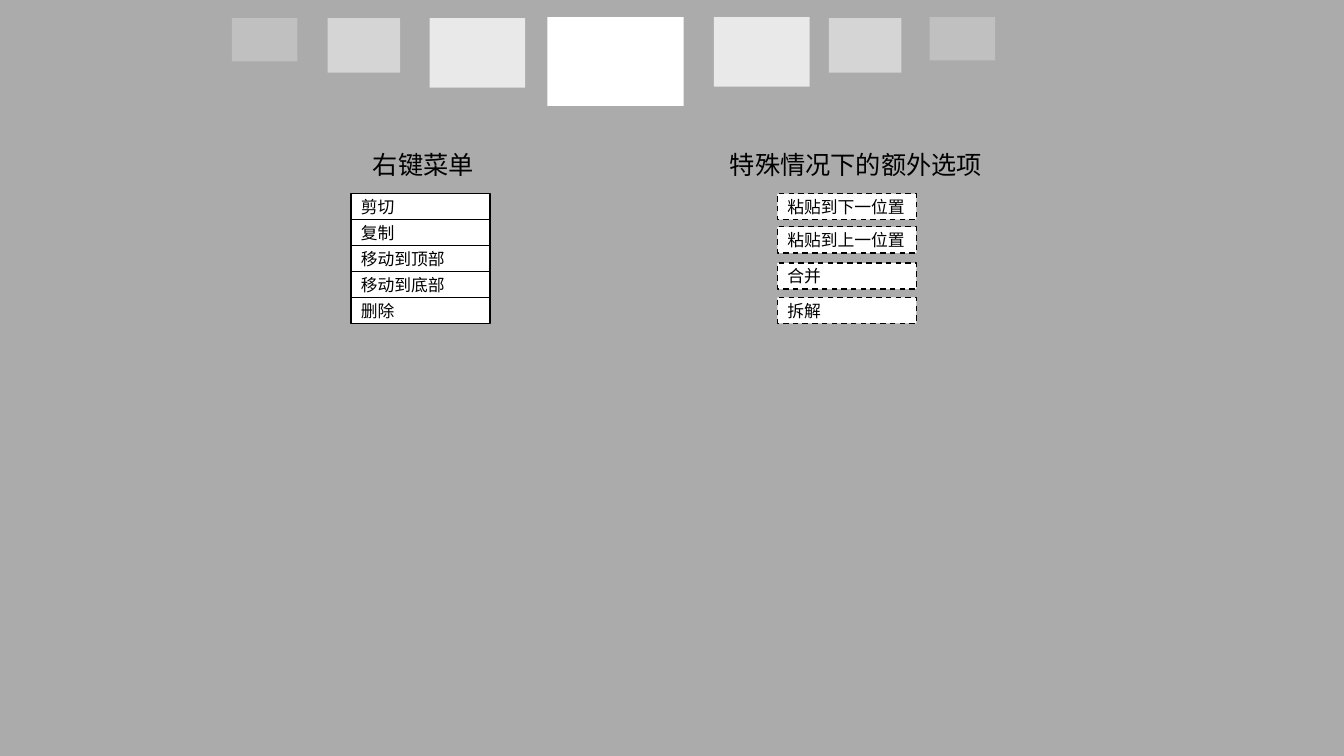
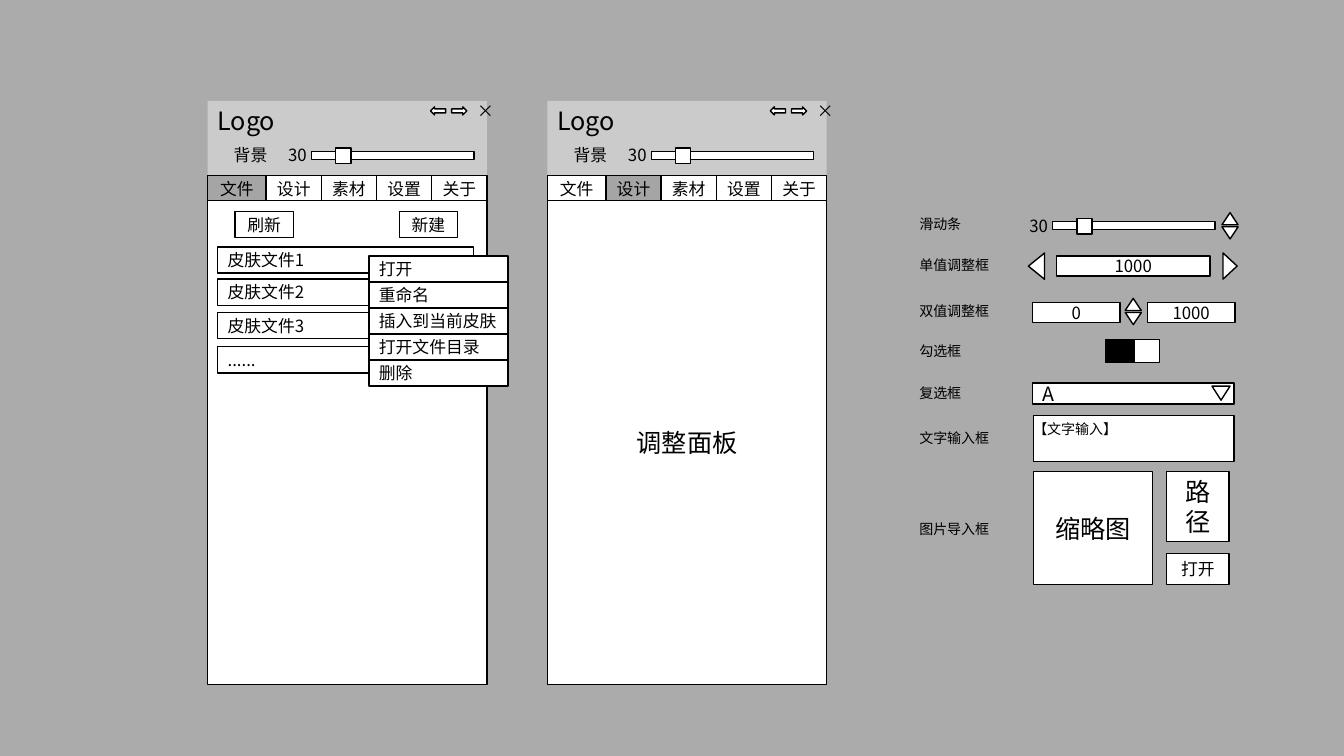
from dataclasses import dataclass

from lxml.etree import SubElement
from pptx import Presentation
from pptx.dml.color import RGBColor
from pptx.enum.dml import MSO_LINE
from pptx.enum.shapes import MSO_SHAPE
from pptx.enum.text import MSO_ANCHOR, PP_ALIGN
from pptx.oxml.ns import qn
from pptx.slide import Slide
from pptx.util import Inches, Pt

BLACK = RGBColor(0x00, 0x00, 0x00)
WHITE = RGBColor(0xFF, 0xFF, 0xFF)
GREY = RGBColor(0xA5, 0xA5, 0xA5)
BACK = RGBColor(0xAB, 0xAB, 0xAB)

CJK = "Noto Sans CJK SC"
LEFT, MID = PP_ALIGN.LEFT, PP_ALIGN.CENTER
ROW = 0.26
MENU = 1.38
TABS = ["文件", "设计", "素材", "设置", "关于"]


@dataclass
class Page:
    slide: Slide
    font: str


def add_page(deck, font):
    slide = deck.slides.add_slide(deck.slide_layouts[6])
    slide.background.fill.solid()
    slide.background.fill.fore_color.rgb = BACK
    return Page(slide, font)


def write(page, shape, text, size, align):
    frame = shape.text_frame
    frame.word_wrap = True
    frame.text = text
    para = frame.paragraphs[0]
    para.alignment = align
    for run in para.runs:
        run.font.size = Pt(size)
        run.font.name = page.font
        run.font.color.rgb = BLACK
        SubElement(run.font._element, qn("a:ea"), typeface=CJK)


def shape_at(page, kind, spot, fill=WHITE):
    shape = page.slide.shapes.add_shape(kind, *map(Inches, spot))
    shape.shadow.inherit = False
    shape.fill.solid()
    shape.fill.fore_color.rgb = fill
    shape.line.color.rgb = BLACK
    shape.line.width = Pt(1)
    return shape


def box(page, spot, text="", size=12, align=MID, fill=WHITE):
    shape = shape_at(page, MSO_SHAPE.RECTANGLE, spot, fill)
    if text:
        write(page, shape, text, size, align)
    return shape


def veil(page, spot, alpha):
    shape = box(page, spot)
    shape.line.fill.background()
    color = shape._element.spPr.find(f"{qn('a:solidFill')}/{qn('a:srgbClr')}")
    SubElement(color, qn("a:alpha"), val=str(alpha * 1000))


def label(page, spot, text, size=12, align=LEFT, anchor=MSO_ANCHOR.TOP):
    shape = page.slide.shapes.add_textbox(*map(Inches, spot))
    write(page, shape, text, size, align)
    shape.text_frame.vertical_anchor = anchor


def turned(page, kind, spot, turn):
    shape_at(page, kind, spot).rotation = turn


def point(page, spot, turn=0):
    turned(page, MSO_SHAPE.ISOSCELES_TRIANGLE, spot, turn)


def menu(page, left, top, items):
    step = 1.03 / (len(items) - 1)
    for i, item in enumerate(items):
        box(page, (left, top + i * step, MENU, ROW), item, align=LEFT)


def slider(page, left, top):
    box(page, (left, top, 1.61, 0.08))
    box(page, (left + 0.24, top - 0.03, 0.15, 0.15))
    label(page, (left - 0.33, top - 0.11, 0.42, 0.3), "30")


def spinner(page, left, top):
    point(page, (left, top, 0.16, 0.12))
    point(page, (left, top + 0.14, 0.16, 0.12), 180)


def panel(page, left, active, text=""):
    veil(page, (left, 1, 2.77, 5.79), 39)
    label(page, (left, 1, 1.14, 0.4), "Logo", 18)
    first = 0.58
    step = (2.77 - first) / (len(TABS) - 1)
    for i, tab in enumerate(TABS):
        start = first + (i - 1) * step if i else 0
        width = step if i else first
        fill = GREY if tab == active else WHITE
        box(page, (left + start, 1.74, width, ROW), tab, fill=fill)
    box(page, (left, 1.99, 2.77, 4.8), text, 18)
    slider(page, left + 1.03, 1.5)
    label(page, (left + 0.15, 1.41, 0.55, ROW), "背景", 12, MID,
          MSO_ANCHOR.MIDDLE)
    label(page, (left + 2.58, 1, 0.19, 0.2), "×", 12, MID, MSO_ANCHOR.MIDDLE)
    for shift, turn in ((2.21, 0), (2.42, 180)):
        turned(page, MSO_SHAPE.LEFT_ARROW, (left + shift, 1.06, 0.15, 0.08),
               turn)


def files(page, left):
    for shift, text in ((0.27, "刷新"), (1.9, "新建")):
        box(page, (left + shift, 2.1, 0.58, ROW), text)
    rows = [(2.45, "皮肤文件1"), (2.77, "皮肤文件2"), (3.1, "皮肤文件3"),
            (3.44, "......")]
    for top, text in rows:
        box(page, (left + 0.1, top, 2.54, ROW), text, align=LEFT)
    menu(page, left + 1.6, 2.54,
         ["打开", "重命名", "插入到当前皮肤", "打开文件目录", "删除"])


def inputs(page):
    names = [(2.09, "滑动条"), (2.5, "单值调整框"), (2.95, "双值调整框"),
             (3.35, "勾选框"), (3.77, "复选框"), (4.21, "文字输入框"),
             (5.11, "图片导入框")]
    for top, name in names:
        label(page, (9.02, top, 0.96, 0.27), name, 10)

    slider(page, 10.44, 2.2)
    spinner(page, 12.12, 2.11)

    box(page, (10.48, 2.54, 1.52, 0.2), "1000")
    point(page, (12.07, 2.57, 0.26, 0.14), 90)
    point(page, (10.15, 2.56, 0.26, 0.16), 270)

    spinner(page, 11.16, 2.96)
    for left, text in ((10.24, "0"), (11.38, "1000")):
        box(page, (left, 3, 0.87, 0.2), text)

    box(page, (10.97, 3.37, 0.53, 0.23))
    box(page, (10.97, 3.37, 0.28, 0.23), fill=BLACK)

    box(page, (10.24, 3.8, 2, 0.21), "A", 14, LEFT)
    point(page, (12.02, 3.83, 0.18, 0.14), 180)

    box(page, (10.25, 4.12, 1.99, 0.46))
    label(page, (10.15, 4.12, 1.85, 0.27), "【文字输入】", 10)

    box(page, (10.25, 4.68, 1.18, 1.12), "缩略图", 18)
    box(page, (11.57, 4.68, 0.62, 0.69), "路径", 18)
    box(page, (11.57, 5.49, 0.62, 0.31), "打开")


def menus(page):
    cards = [(5.43, 0.17, 1.35, 0.88, 100),
             (7.08, 0.17, 0.95, 0.69, 75), (4.26, 0.18, 0.95, 0.69, 75),
             (3.25, 0.18, 0.72, 0.54, 50), (8.22, 0.18, 0.72, 0.54, 50),
             (2.3, 0.18, 0.65, 0.43, 25), (9.22, 0.17, 0.65, 0.43, 25)]
    for *spot, alpha in cards:
        veil(page, spot, alpha)
    label(page, (3.6, 1.43, 1.63, 0.4), "右键菜单", 18)
    menu(page, 3.48, 1.92,
         ["剪切", "复制", "移动到顶部", "移动到底部", "删除"])
    label(page, (7.01, 1.43, 2.96, 0.4), "特殊情况下的额外选项", 18, MID)
    extras = [(1.92, "粘贴到下一位置"), (2.25, "粘贴到上一位置"),
              (2.61, "合并"), (2.95, "拆解")]
    for top, text in extras:
        item = box(page, (7.71, top, MENU, ROW), text, align=LEFT)
        item.line.dash_style = MSO_LINE.DASH


def main():
    deck = Presentation()
    deck.slide_width = Inches(13.33)
    deck.slide_height = Inches(7.5)
    menus(add_page(deck, "Calibri"))
    page = add_page(deck, CJK)
    panel(page, 2.06, "文件")
    files(page, 2.06)
    panel(page, 5.43, "设计", "调整面板")
    inputs(page)
    deck.save("out.pptx")


if __name__ == "__main__":
    main()
